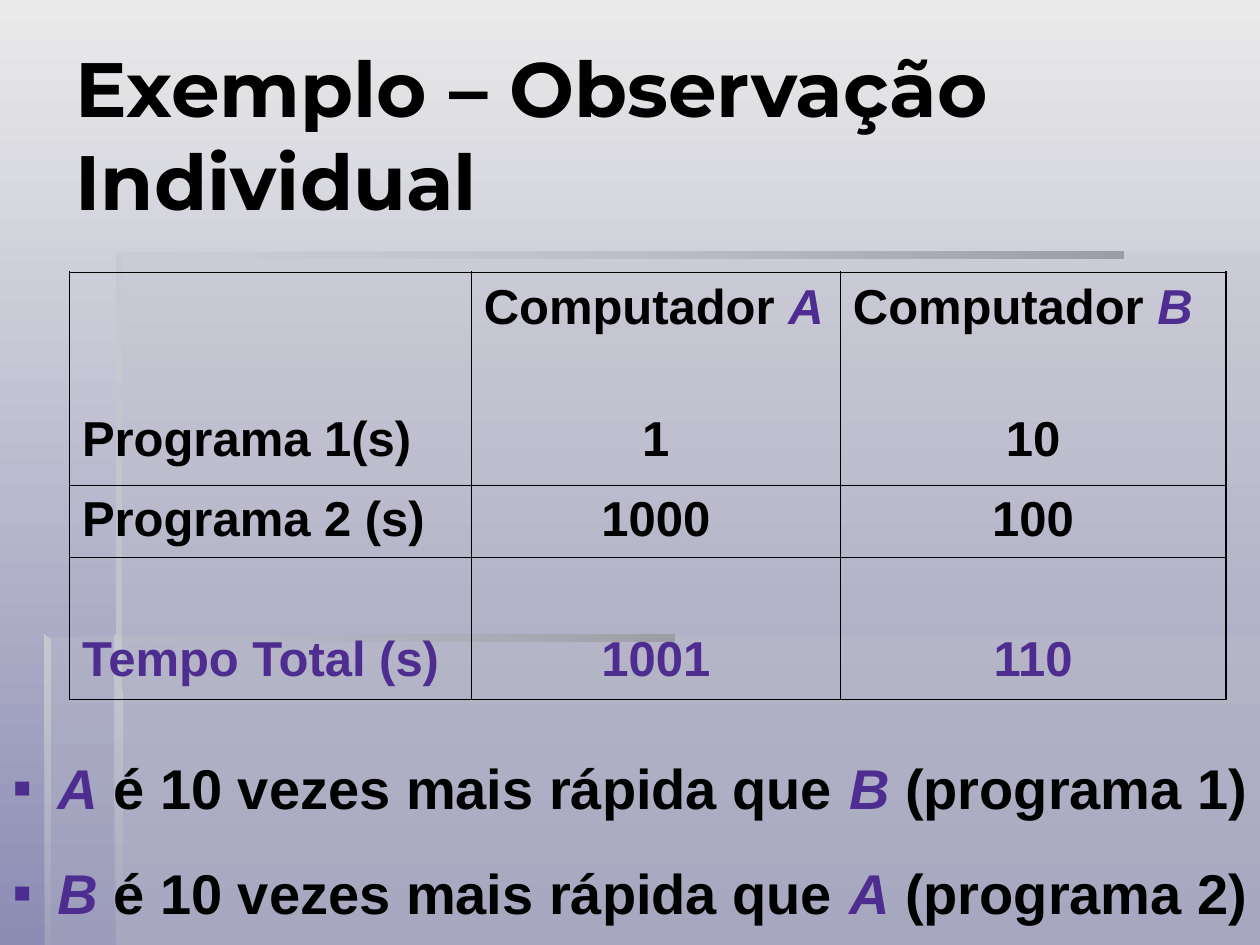
from lxml.etree import SubElement
from pptx import Presentation
from pptx.dml.color import RGBColor
from pptx.enum.shapes import MSO_SHAPE
from pptx.enum.text import MSO_ANCHOR, MSO_AUTO_SIZE, PP_ALIGN
from pptx.oxml import parse_xml
from pptx.oxml.ns import nsdecls, qn
from pptx.util import Cm, Pt

BLACK = RGBColor(0, 0, 0)
PURPLE = RGBColor(0x4E, 0x2D, 0x91)
PALE = RGBColor(0xEA, 0xEA, 0xEA)
BLUE = RGBColor(0x8C, 0x8C, 0xB4)
MIST = RGBColor(0xC1, 0xC2, 0xCB)
LIGHT = RGBColor(0xC7, 0xC8, 0xD0)
GREY = RGBColor(0x9D, 0x9E, 0xA5)

TITLE = "Exemplo – Observação Individual"
HEADS = ["", "A", "B"]
ROWS = [
    (["Programa 1(s)", "1", "10"], BLACK, 4.29, 0.36),
    (["Programa 2 (s)", "1000", "100"], BLACK, 1.45, 0.2),
    (["Tempo Total (s)", "1001", "110"], PURPLE, 2.87, 0.25),
]
COLS = [8.1, 7.44, 7.77]
NOTES = [("A", "B", 1), ("B", "A", 2)]

PANELS = [
    (2.34, 12.83, 23.06, 6.22),
    [(2.39, 12.85), (0.91, 12.85), (0.91, 19.05), (25.4, 19.05),
     (25.4, 5.08), (2.39, 5.08)],
]
BARS = [
    ((2.34, 5.08, 20.3, 0.13), GREY, 180, 0),
    ([(2.34, 5.08), (2.34, 12.95), (2.46, 12.95), (2.44, 5.18)],
     LIGHT, 270, 100),
    ([(2.31, 19.05), (2.46, 19.05), (2.44, 12.9), (2.31, 12.8)],
     LIGHT, 270, 0),
    ((0.89, 12.8, 12.7, 0.13), GREY, 180, 0),
    ([(0.89, 12.8), (0.89, 19.05), (1.02, 19.05), (1.02, 12.93)],
     LIGHT, 270, 10),
]


def outline(geo):
    if isinstance(geo, tuple):
        shape = slide.shapes.add_shape(MSO_SHAPE.RECTANGLE, *map(Cm, geo))
    else:
        pts = [(Cm(x), Cm(y)) for x, y in geo]
        pen = slide.shapes.build_freeform(*pts[0])
        pen.add_line_segments(pts[1:], close=True)
        shape = pen.convert_to_shape()
    shape.shadow.inherit = False
    shape.line.fill.background()
    return shape


def blend(fill, start, end, angle):
    fill.gradient()
    fill.gradient_angle = angle
    for stop, tone, pos in zip(fill.gradient_stops, (start, end), (0, 1)):
        stop.color.rgb = tone
        stop.position = pos


def fade(shape, pct):
    tone = list(shape._element.spPr.iter(qn("a:srgbClr")))[-1]
    SubElement(tone, qn("a:alpha")).set("val", str(pct * 1000))


def write(para, text, size, color=BLACK, italic=False, face="Arial"):
    run = para.add_run()
    run.text = text
    font = run.font
    font.name, font.size, font.bold = face, Pt(size), True
    font.italic = italic
    font.color.rgb = color


def border(cell, row, col):
    edge = {"L": col == 0, "R": col == len(COLS) - 1,
            "T": row == 0, "B": row == len(ROWS) - 1}
    props = cell._tc.get_or_add_tcPr()
    for at, (side, outer) in enumerate(edge.items()):
        width = Pt(1.08 if outer else 0.45)
        props.insert(at, parse_xml(
            f'<a:ln{side} {nsdecls("a")} w="{width}"><a:solidFill>'
            f'<a:srgbClr val="{BLACK}"/></a:solidFill></a:ln{side}>'))


def bullet(para):
    props = para._p.get_or_add_pPr()
    props.set("marL", str(Cm(0.91)))
    props.set("indent", str(-Cm(0.91)))
    tone = SubElement(props, qn("a:buClr"))
    SubElement(tone, qn("a:srgbClr")).set("val", str(PURPLE))
    SubElement(props, qn("a:buFont")).set("typeface", "Arial")
    SubElement(props, qn("a:buChar")).set("char", "▪")


deck = Presentation()
deck.slide_width, deck.slide_height = Cm(25.4), Cm(19.05)
slide = deck.slides.add_slide(deck.slide_layouts[5])
blend(slide.background.fill, PALE, BLUE, 270)

for geo in PANELS:
    shape = outline(geo)
    shape.fill.solid()
    shape.fill.fore_color.rgb = MIST
    fade(shape, 30)
for geo, tone, angle, pct in BARS:
    shape = outline(geo)
    blend(shape.fill, tone, MIST, angle)
    fade(shape, pct)

title = slide.shapes.title
title.left, title.top, title.width, title.height = map(
    Cm, (1.27, 0.69, 23.29, 3.99))
frame = title.text_frame
frame.auto_size = MSO_AUTO_SIZE.NONE
frame.vertical_anchor = MSO_ANCHOR.MIDDLE
frame.paragraphs[0].alignment = PP_ALIGN.LEFT
write(frame.paragraphs[0], TITLE, 44, face="Montserrat")

high = sum(row[2] for row in ROWS)
table = slide.shapes.add_table(
    len(ROWS), len(COLS), Cm(1.4), Cm(5.49), Cm(sum(COLS)), Cm(high)).table
table.first_row = table.horz_banding = False
for col, width in enumerate(COLS):
    table.columns[col].width = Cm(width)
for row, (texts, tone, height, low) in enumerate(ROWS):
    table.rows[row].height = Cm(height)
    for col, text in enumerate(texts):
        cell = table.cell(row, col)
        cell.fill.background()
        border(cell, row, col)
        cell.vertical_anchor = MSO_ANCHOR.BOTTOM
        cell.margin_top, cell.margin_bottom = Cm(0.1), Cm(low)
        para = cell.text_frame.paragraphs[0]
        if row == 0 and HEADS[col]:
            write(para, "Computador ", 28)
            write(para, HEADS[col], 28, PURPLE, True)
            para = cell.text_frame.add_paragraph()
            para.space_before = Pt(44.4)
        para.alignment = PP_ALIGN.CENTER if col else PP_ALIGN.LEFT
        write(para, text, 28, tone)

box = slide.shapes.add_textbox(Cm(0), Cm(15.11), Cm(26.7), Cm(3.68))
frame = box.text_frame
frame.word_wrap = True
frame.vertical_anchor = MSO_ANCHOR.BOTTOM
for at, (fast, slow, number) in enumerate(NOTES):
    para = frame.add_paragraph() if at else frame.paragraphs[0]
    if at:
        para.space_before = Pt(21.5)
    bullet(para)
    write(para, fast, 32, PURPLE, True)
    write(para, " é 10 vezes mais rápida que ", 32)
    write(para, slow, 32, PURPLE, True)
    write(para, f" (programa {number})", 32)

deck.save("out.pptx")
